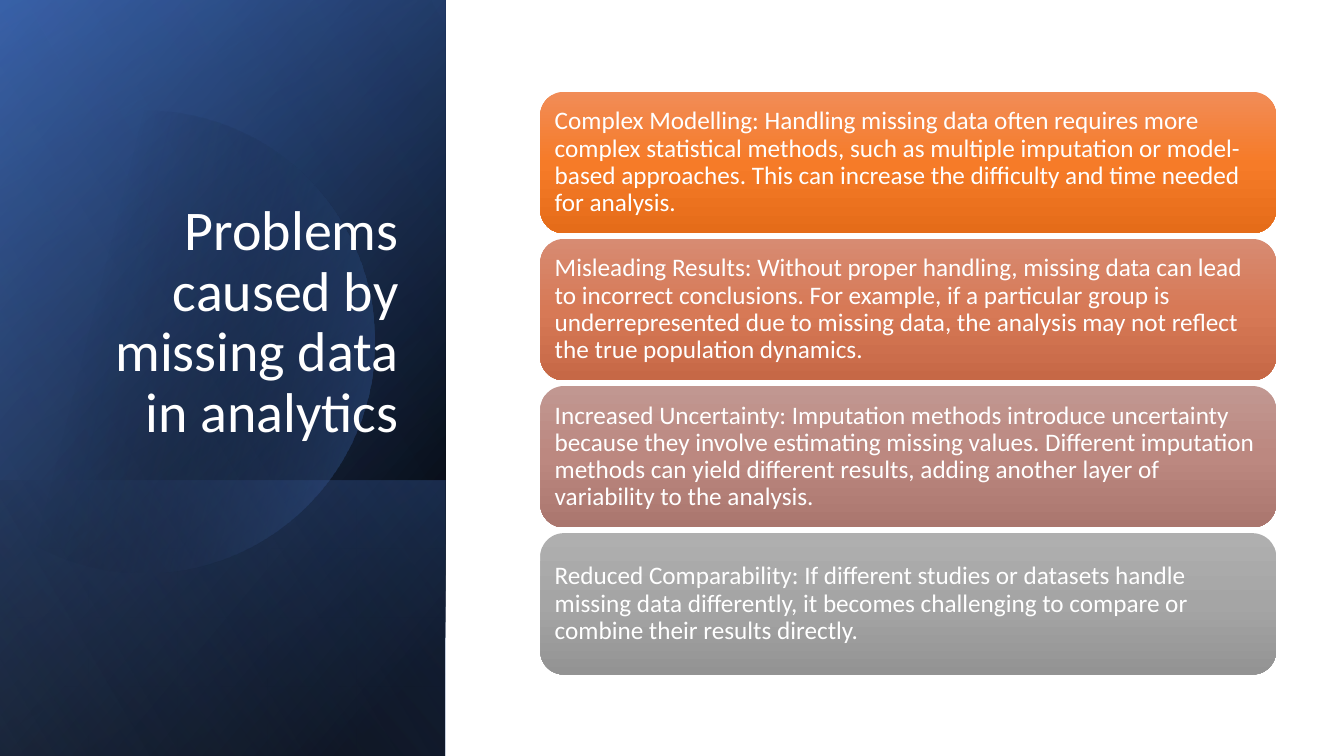
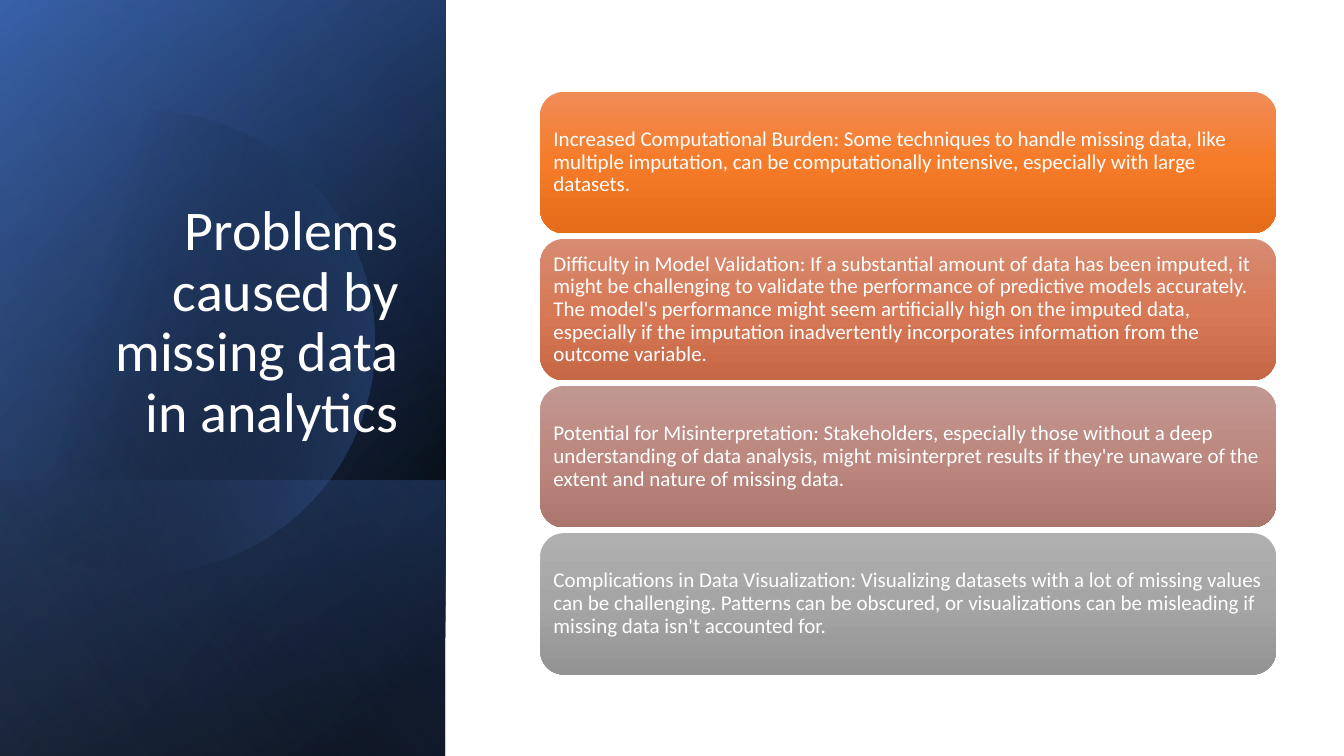
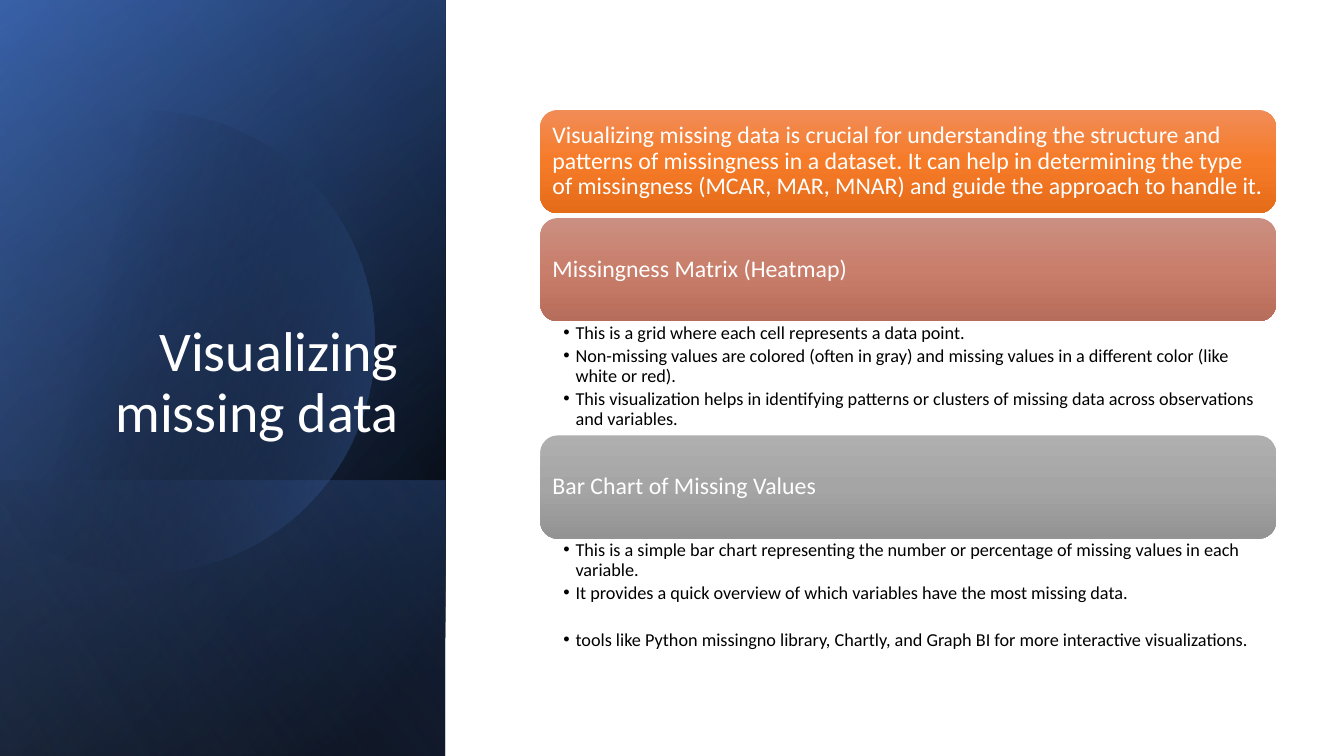
from math import acos, cos, pi, sin

from lxml import etree
from pptx import Presentation, util as u
from pptx.dml.color import RGBColor
from pptx.enum import shapes, text
from pptx.oxml.ns import qn

WIDTH, HEIGHT = u.Inches(13.33), u.Inches(7.5)
TITLE_ONLY, TWO_CONTENT = 5, 3
PANEL_WIDTH = 33.15
CARD_LEFT, CARD_WIDTH = 40.2, 54.75

ORANGE = ("F18C57", "F67B28", "E56C19")
CORAL = ("D78B72", "D77956", "C66846")
BRICK = ("CB8F81", "C97E6B", "B76D5B")
ROSE = ("C19791", "BC8880", "AA766E")
GRAY = ("AFAFAF", "A5A5A5", "939393")

PANEL_BASE = [
    (0, 100, 50, [(8, "000000", 100), (100, "2F5597", 100)]),
    (0, 100, 30, [(0, "000000", 0), (99, "4472C4", 46)]),
    (63.5, 36.5, 130, [(2, "4472C4", 29), (100, "000000", 30)]),
]
PANEL_DISC = (14, [(29, "000000", 0), (100, "4472C4", 43)])
PANEL_SHEEN = (0, 100, 120, [(0, "000000", 0), (99, "8FAADC", 11)])

PROBLEMS = "Problems caused by missing data in analytics"


def across(share):
    return u.Emu(round(WIDTH * share / 100))


def down(share):
    return u.Emu(round(HEIGHT * share / 100))


def color(hex_string):
    return RGBColor.from_string(hex_string)


class Slides:
    font_name = "Calibri"

    def __init__(self):
        self.deck = Presentation()
        self.deck.slide_width, self.deck.slide_height = WIDTH, HEIGHT
        self.page = None

    def add_page(self, title, layout=TITLE_ONLY):
        self.page = self.deck.slides.add_slide(self.deck.slide_layouts[layout])
        for band in PANEL_BASE:
            self.add_band(*band)
        self.add_disc(10.73, 45.2, 30.5)
        self.add_band(*PANEL_SHEEN)
        self.add_title(title)

    def place(self, box, left, top, width, height):
        box.left, box.top = across(left), down(top)
        box.width, box.height = across(width), down(height)

    def paint(self, shape, angle, stops):
        shape.shadow.inherit = False
        shape.line.fill.background()
        shape.fill.gradient()
        gradient = shape.element.spPr.find(qn("a:gradFill"))
        for child in list(gradient):
            gradient.remove(child)
        gradient.set("rotWithShape", "1")
        stop_list = etree.SubElement(gradient, qn("a:gsLst"))
        for position, hex_string, opacity in stops:
            stop = etree.SubElement(stop_list, qn("a:gs"), pos=str(position * 1000))
            tint = etree.SubElement(stop, qn("a:srgbClr"), val=str(color(hex_string)))
            if opacity < 100:
                etree.SubElement(tint, qn("a:alpha"), val=str(opacity * 1000))
        etree.SubElement(gradient, qn("a:lin"), ang=str(angle * 60000), scaled="0")

    def add_band(self, top, height, angle, stops):
        long_side, short_side = down(height), across(PANEL_WIDTH)
        left = (short_side - long_side) // 2
        band = self.page.shapes.add_shape(
            shapes.MSO_SHAPE.RECTANGLE, left, down(top) - left, long_side, short_side)
        band.rotation = 90
        band.element.spPr.find(qn("a:xfrm")).set("flipH", "1")
        self.paint(band, angle, stops)

    def add_disc(self, center_x, center_y, radius, steps=120):
        x, y, r = across(center_x), down(center_y), down(radius)
        reach = pi - acos(x / r)
        turns = [reach * (2 * step / steps - 1) for step in range(steps + 1)]
        points = [(round(x + r * cos(turn)), round(y + r * sin(turn))) for turn in turns]
        outline = self.page.shapes.build_freeform(*points[0])
        outline.add_line_segments(points[1:], close=True)
        self.paint(outline.convert_to_shape(), *PANEL_DISC)

    def set_frame(self, frame, anchor, insets):
        frame.word_wrap = True
        frame.auto_size = text.MSO_AUTO_SIZE.NONE
        frame.vertical_anchor = anchor
        (frame.margin_left, frame.margin_top,
         frame.margin_right, frame.margin_bottom) = insets

    def set_para(self, para, words, size, hex_string, align=text.PP_ALIGN.LEFT):
        para.text = words
        para.alignment = align
        para.line_spacing = 0.9
        para.space_before = para.space_after = u.Pt(0)
        para.font.name = self.font_name
        para.font.size = u.Pt(size)
        para.font.color.rgb = color(hex_string)

    def add_title(self, words):
        title = self.page.shapes.title
        title.element.getparent().append(title.element)
        self.place(title, 4.8, 24.55, 25.6, 34.9)
        inset_x, inset_y = u.Inches(0.1), u.Inches(0.05)
        self.set_frame(title.text_frame, text.MSO_ANCHOR.BOTTOM,
                       (inset_x, inset_y, inset_x, inset_y))
        self.set_para(title.text_frame.paragraphs[0], words, 40, "FFFFFF",
                      text.PP_ALIGN.RIGHT)

    def add_card(self, words, shades, size, top, height):
        card = self.page.shapes.add_shape(
            shapes.MSO_SHAPE.ROUNDED_RECTANGLE, 0, 0, 0, 0)
        self.place(card, CARD_LEFT, top, CARD_WIDTH, height)
        self.paint(card, 90, [(50 * i, shade, 100) for i, shade in enumerate(shades)])
        self.set_frame(card.text_frame, text.MSO_ANCHOR.MIDDLE, [u.Pt(0.3 * size)] * 4)
        self.set_para(card.text_frame.paragraphs[0], words, size, "FFFFFF")

    def add_card_stack(self, entries, size):
        for row, (words, shades) in enumerate(zip(entries, (ORANGE, CORAL, ROSE, GRAY))):
            self.add_card(words, shades, size, 12.15 + 19.46 * row, 18.7)

    def add_list(self, index, items, top, height, last_gap=0):
        body = self.page.placeholders[index]
        self.place(body, CARD_LEFT, top, CARD_WIDTH, height)
        frame = body.text_frame
        self.set_frame(frame, text.MSO_ANCHOR.TOP,
                       [u.Inches(inset) for inset in (0.23, 0.02, 0.13, 0.02)])
        for row, words in enumerate(items):
            para = frame.add_paragraph() if row else frame.paragraphs[0]
            self.set_para(para, words, 13, "000000")
            para.space_after = u.Pt(2.6)
            properties = para._p.get_or_add_pPr()
            properties.set("marL", str(u.Inches(0.12)))
            properties.set("indent", str(-u.Inches(0.12)))
            bullet = etree.Element(qn("a:buChar"), char="•")
            properties.find(qn("a:spcAft")).addnext(bullet)
        para.space_before = u.Pt(last_gap)


def main():
    slides = Slides()

    slides.add_page(PROBLEMS)
    slides.add_card_stack([
        "Complex Modelling: Handling missing data often requires more complex statistical methods, such as multiple imputation or model-based approaches. This can increase the difficulty and time needed for analysis.",
        "Misleading Results: Without proper handling, missing data can lead to incorrect conclusions. For example, if a particular group is underrepresented due to missing data, the analysis may not reflect the true population dynamics.",
        "Increased Uncertainty: Imputation methods introduce uncertainty because they involve estimating missing values. Different imputation methods can yield different results, adding another layer of variability to the analysis.",
        "Reduced Comparability: If different studies or datasets handle missing data differently, it becomes challenging to compare or combine their results directly.",
    ], 18)

    slides.add_page(PROBLEMS)
    slides.add_card_stack([
        "Increased Computational Burden: Some techniques to handle missing data, like multiple imputation, can be computationally intensive, especially with large datasets.",
        "Difficulty in Model Validation: If a substantial amount of data has been imputed, it might be challenging to validate the performance of predictive models accurately. The model's performance might seem artificially high on the imputed data, especially if the imputation inadvertently incorporates information from the outcome variable.",
        "Potential for Misinterpretation: Stakeholders, especially those without a deep understanding of data analysis, might misinterpret results if they're unaware of the extent and nature of missing data.",
        "Complications in Data Visualization: Visualizing datasets with a lot of missing values can be challenging. Patterns can be obscured, or visualizations can be misleading if missing data isn't accounted for.",
    ], 15)

    slides.add_page("Visualizing missing data", TWO_CONTENT)
    for words, shades, top in [
        ("Visualizing missing data is crucial for understanding the structure and patterns of missingness in a dataset. It can help in determining the type of missingness (MCAR, MAR, MNAR) and guide the approach to handle it.", ORANGE, 14.55),
        ("Missingness Matrix (Heatmap)", BRICK, 28.85),
        ("Bar Chart of Missing Values", GRAY, 57.6),
    ]:
        slides.add_card(words, shades, 17, top, 13.65)
    slides.add_list(1, [
        "This is a grid where each cell represents a data point.",
        "Non-missing values are colored (often in gray) and missing values in a different color (like white or red).",
        "This visualization helps in identifying patterns or clusters of missing data across observations and variables.",
    ], 42.5, 15.1)
    slides.add_list(2, [
        "This is a simple bar chart representing the number or percentage of missing values in each variable.",
        "It provides a quick overview of which variables have the most missing data.",
        "tools like Python missingno library, Chartly, and Graph BI for more interactive visualizations.",
    ], 71.25, 15.6, last_gap=17)

    slides.deck.save("out.pptx")


if __name__ == "__main__":
    main()
